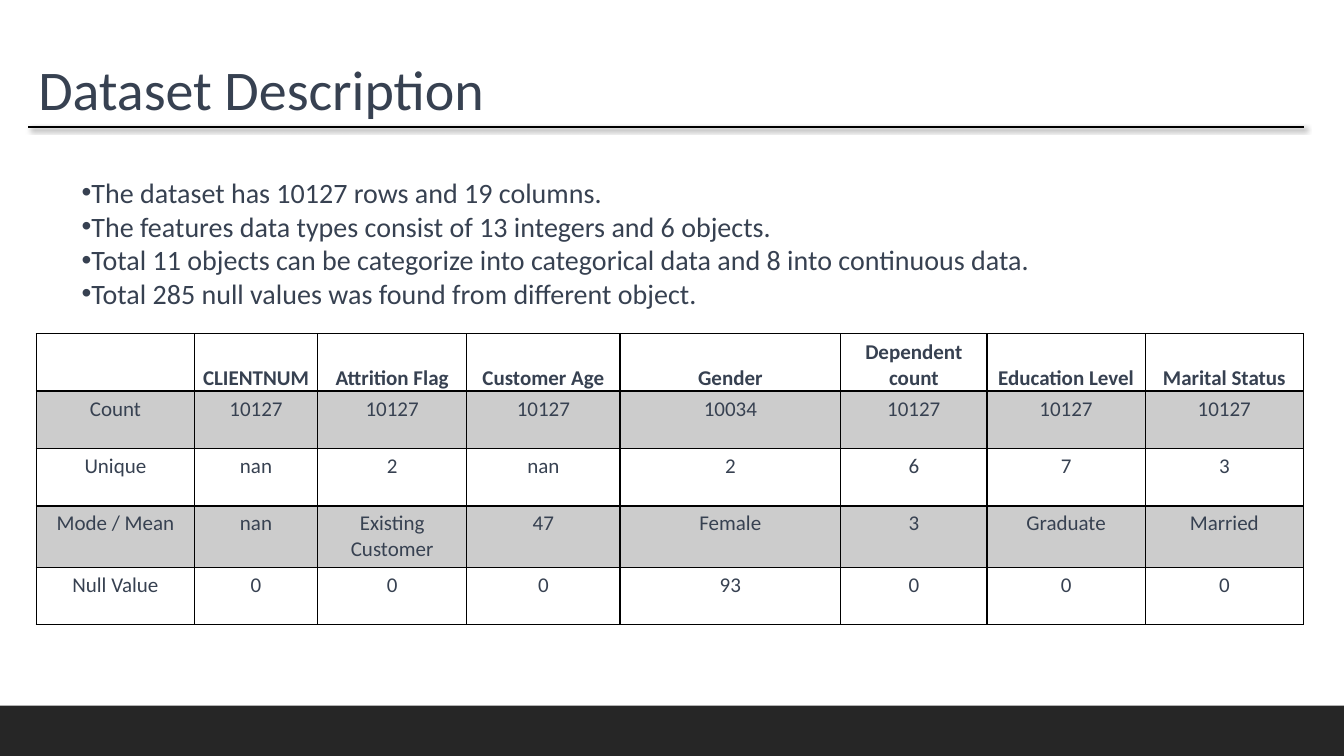
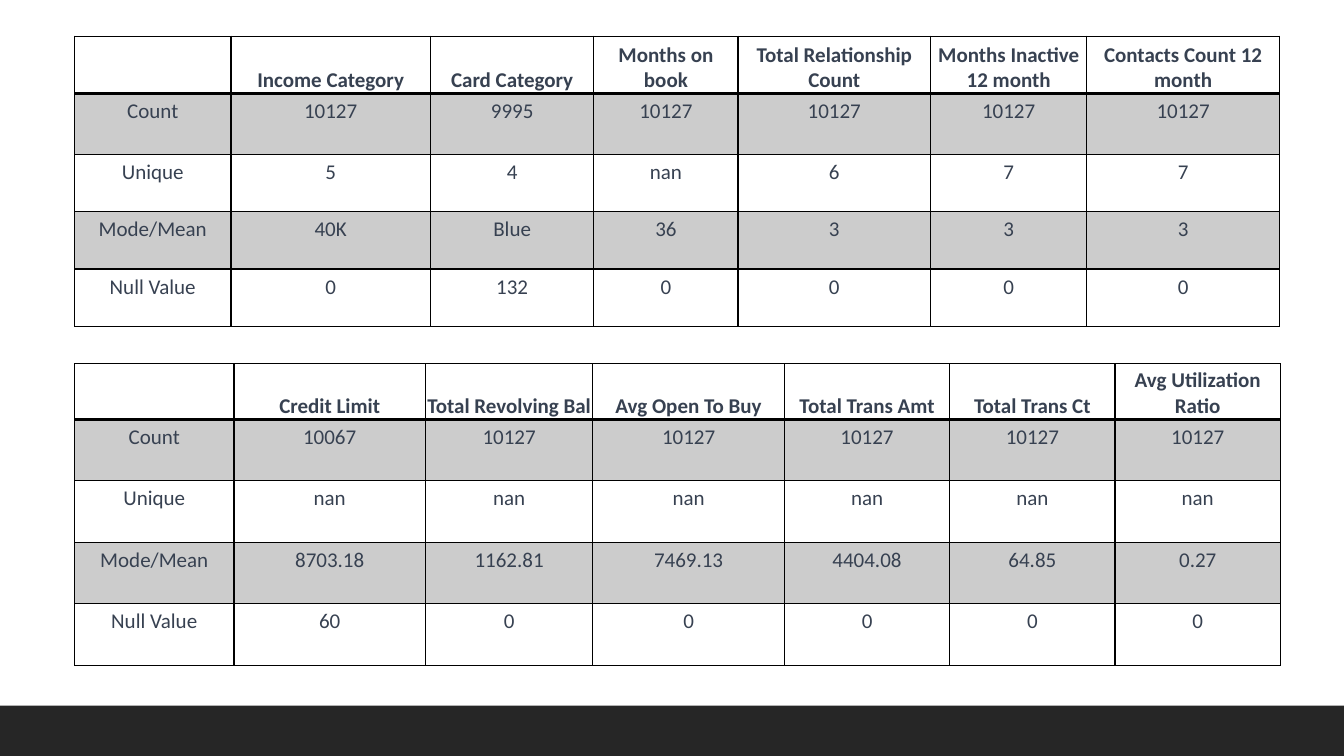
from dataclasses import dataclass

from lxml import etree
from pptx import Presentation
from pptx.dml.color import RGBColor
from pptx.enum.shapes import MSO_CONNECTOR, MSO_SHAPE
from pptx.enum.text import MSO_ANCHOR, MSO_AUTO_SIZE, PP_ALIGN
from pptx.oxml.ns import qn
from pptx.util import Inches, Pt

RECTANGLE = MSO_SHAPE.RECTANGLE
STRAIGHT = MSO_CONNECTOR.STRAIGHT
TOP, BOTTOM = MSO_ANCHOR.TOP, MSO_ANCHOR.BOTTOM
LEFT, CENTER, JUSTIFY = PP_ALIGN.LEFT, PP_ALIGN.CENTER, PP_ALIGN.JUSTIFY
NO_AUTOFIT = MSO_AUTO_SIZE.NONE

# Shared look
COLORS = {"text": "374151", "rule": "000000", "band": "262626", "stripe": "000000"}
FONT = "Calibri"
SLIDE_WIDTH, SLIDE_HEIGHT = 13.33, 7.5
BAND_HEIGHT = 0.5
TITLE_LAYOUT, BLANK_LAYOUT = 1, 6
STRIPE_OPACITY = 20


@dataclass(frozen=True)
class Box:
    left: float
    top: float
    width: float
    height: float

    def lengths(self) -> tuple:
        return tuple(Inches(n) for n in (self.left, self.top, self.width, self.height))


@dataclass(frozen=True)
class SummaryTable:
    left: float
    top: float
    column_widths: tuple[float, ...]
    row_heights: tuple[float, ...]
    rows: tuple[tuple[str, ...], ...]


BULLETS = (
    "The dataset has 10127 rows and 19 columns.",
    "The features data types consist of 13 integers and 6 objects.",
    "Total 11 objects can be categorize into categorical data and 8 into continuous data.",
    "Total 285 null values was found from different object.",
)

CUSTOMER_TABLE = SummaryTable(
    0.36, 3.31,
    (1.57, 1.22, 1.48, 1.52, 2.19, 1.45, 1.57, 1.57),
    (0.57,) * 5,
    (
        ("", "CLIENTNUM", "Attrition Flag", "Customer Age", "Gender",
         "Dependent count", "Education Level", "Marital Status"),
        ("Count", "10127", "10127", "10127", "10034", "10127", "10127", "10127"),
        ("Unique", "nan", "2", "nan", "2", "6", "7", "3"),
        ("Mode / Mean", "nan", "Existing Customer", "47", "Female", "3",
         "Graduate", "Married"),
        ("Null Value", "0", "0", "0", "93", "0", "0", "0"),
    ),
)

ACCOUNT_TABLE = SummaryTable(
    0.74, 0.36,
    (1.55, 1.98, 1.62, 1.43, 1.91, 1.55, 1.91),
    (0.57, 0.6, 0.57, 0.57, 0.57),
    (
        ("", "Income Category", "Card Category", "Months on book",
         "Total Relationship Count", "Months Inactive 12 month",
         "Contacts Count 12 month"),
        ("Count", "10127", "9995", "10127", "10127", "10127", "10127"),
        ("Unique", "5", "4", "nan", "6", "7", "7"),
        ("Mode/Mean", "40K", "Blue", "36", "3", "3", "3"),
        ("Null Value", "0", "132", "0", "0", "0", "0"),
    ),
)

SPENDING_TABLE = SummaryTable(
    0.74, 3.61,
    (1.58, 1.9, 1.66, 1.9, 1.64, 1.64, 1.64),
    (0.55,) + (0.61,) * 4,
    (
        ("", "Credit Limit", "Total Revolving Bal", "Avg Open To Buy",
         "Total Trans Amt", "Total Trans Ct", "Avg Utilization Ratio"),
        ("Count", "10067", "10127", "10127", "10127", "10127", "10127"),
        ("Unique",) + ("nan",) * 6,
        ("Mode/Mean", "8703.18", "1162.81", "7469.13", "4404.08", "64.85", "0.27"),
        ("Null Value", "60", "0", "0", "0", "0", "0"),
    ),
)


def color(name: str) -> RGBColor:
    return RGBColor.from_string(COLORS[name])


def add_node(parent, tag: str, **attributes):
    return etree.SubElement(parent, qn(tag), {k: str(v) for k, v in attributes.items()})


def format_text(para, size: float, align, bold: bool = False) -> None:
    para.alignment = align
    for span in para.runs:
        span.font.name = FONT
        span.font.size = Pt(size)
        span.font.bold = bold
        span.font.color.rgb = color("text")


def add_page(deck, layout: int):
    """Add a slide with the dark band along its foot."""
    page = deck.slides.add_slide(deck.slide_layouts[layout])
    place = Box(0, SLIDE_HEIGHT - BAND_HEIGHT, SLIDE_WIDTH, BAND_HEIGHT)
    band = page.shapes.add_shape(RECTANGLE, *place.lengths())
    band.shadow.inherit = False
    band.fill.solid()
    band.fill.fore_color.rgb = color("band")
    band.line.fill.background()
    return page


def fill_placeholder(box, place: Box, text: str):
    box.left, box.top, box.width, box.height = place.lengths()
    frame = box.text_frame
    frame.text = text
    frame.word_wrap = True
    frame.auto_size = NO_AUTOFIT
    frame.vertical_anchor = TOP
    return frame


def add_title(page, text: str) -> None:
    frame = fill_placeholder(page.shapes.title, Box(0.28, 0.49, 6.76, 0.77), text)
    format_text(frame.paragraphs[0], 40, LEFT)


def add_title_rule(page) -> None:
    rule = page.shapes.add_connector(
        STRAIGHT, Inches(0.28), Inches(1.26), Inches(12.93), Inches(1.26))
    rule.line.color.rgb = color("rule")
    rule.line.width = Pt(2)
    effects = add_node(rule.element.spPr, "a:effectLst")
    shadow = add_node(effects, "a:outerShdw", blurRad=Pt(3), dist=Pt(2),
                      dir=45 * 60000, algn="tl", rotWithShape=0)
    tint = add_node(shadow, "a:srgbClr", val=COLORS["rule"])
    add_node(tint, "a:alpha", val=60000)


def add_bullets(page, lines: tuple[str, ...]) -> None:
    frame = fill_placeholder(
        page.placeholders[1], Box(0.71, 1.69, 10.59, 1.45), "\n".join(lines))
    for para in frame.paragraphs:
        format_text(para, 20, JUSTIFY)
        para.space_before = para.space_after = Pt(0)
        para.line_spacing = 1.0
        properties = para._p.get_or_add_pPr()
        properties.set("marL", "0")
        properties.set("indent", str(Inches(-0.31)))
        add_node(properties, "a:buChar", char="•")


def set_borders(cell, bottom_width: float) -> None:
    properties = cell._tc.get_or_add_tcPr()
    for side in "LRTB":
        width = bottom_width if side == "B" else 1
        border = add_node(properties, f"a:ln{side}", w=Pt(width))
        paint = add_node(border, "a:solidFill")
        add_node(paint, "a:srgbClr", val=COLORS["rule"])


def set_fill(cell, striped: bool) -> None:
    if not striped:
        cell.fill.background()
        return
    cell.fill.solid()
    cell.fill.fore_color.rgb = color("stripe")
    tint = cell._tc.tcPr.find(f"{qn('a:solidFill')}/{qn('a:srgbClr')}")
    add_node(tint, "a:alpha", val=STRIPE_OPACITY * 1000)


def add_summary_table(page, data: SummaryTable) -> None:
    place = Box(data.left, data.top, sum(data.column_widths), sum(data.row_heights))
    table = page.shapes.add_table(
        len(data.rows), len(data.column_widths), *place.lengths()).table
    table.first_row = table.horz_banding = False
    for column, width in zip(table.columns, data.column_widths):
        column.width = Inches(width)
    for row, height in zip(table.rows, data.row_heights):
        row.height = Inches(height)

    for row_index, texts in enumerate(data.rows):
        header = row_index == 0
        for column_index, text in enumerate(texts):
            cell = table.cell(row_index, column_index)
            cell.text = text
            format_text(cell.text_frame.paragraphs[0], 15, CENTER, bold=header)
            if header:
                cell.vertical_anchor = BOTTOM
                cell.margin_left = cell.margin_right = cell.margin_top = Inches(0.01)
                cell.margin_bottom = 0
            set_borders(cell, bottom_width=2 if header else 1)
            set_fill(cell, striped=row_index % 2 == 1)


def main() -> None:
    deck = Presentation()
    deck.slide_width, deck.slide_height = Inches(SLIDE_WIDTH), Inches(SLIDE_HEIGHT)

    # Dataset overview
    page = add_page(deck, TITLE_LAYOUT)
    add_title(page, "Dataset Description")
    add_title_rule(page)
    add_bullets(page, BULLETS)
    add_summary_table(page, CUSTOMER_TABLE)

    # Remaining features
    page = add_page(deck, BLANK_LAYOUT)
    for data in (ACCOUNT_TABLE, SPENDING_TABLE):
        add_summary_table(page, data)

    deck.save("out.pptx")


if __name__ == "__main__":
    main()
